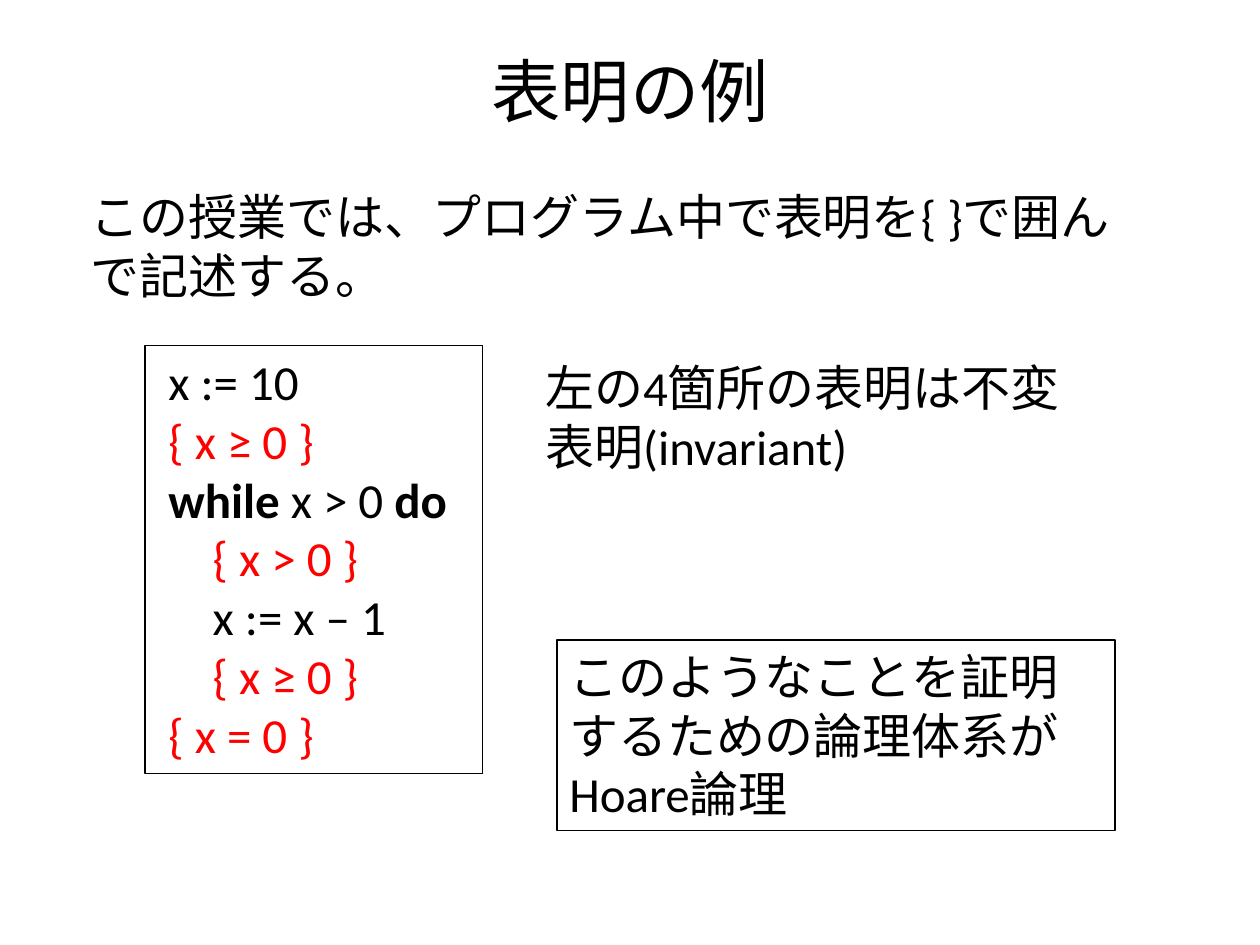
from typing import NamedTuple

from pptx import Presentation
from pptx.dml.color import RGBColor
from pptx.enum.shapes import MSO_SHAPE as Preset
from pptx.enum.text import MSO_ANCHOR as Anchor, PP_ALIGN as Align
from pptx.util import Inches, Pt

WIDTH, HEIGHT = 10, 7.5
BLACK, RED, WHITE = "000000", "FF0000", "FFFFFF"


class Area(NamedTuple):
    """Position and size in percent of the slide's width and height."""
    left: float
    top: float
    width: float
    height: float


class Piece(NamedTuple):
    """A stretch of text in one colour and weight."""
    text: str
    color: str = BLACK
    bold: bool = False


class Note(NamedTuple):
    """A text block, boxed by a thin line or free."""
    area: Area
    lines: list[list[Piece]]
    boxed: bool = False
    fill: str | None = None


NOTES = [
    Note(Area(6.2, 19.07, 83.6, 13.87),
         [[Piece("この授業では、プログラム中で表明を{ }で囲んで記述する。")]]),
    Note(Area(11.5, 36.53, 26.8, 45.33), [
        [Piece(" x := 10")],
        [Piece(" { x ≥ 0 }", RED)],
        [Piece(" while", bold=True), Piece(" x > 0 "), Piece("do", bold=True)],
        [Piece("     { x > 0 }", RED)],
        [Piece("     x := x – 1")],
        [Piece("     { x ≥ 0 }", RED)],
        [Piece(" { x = 0 }", RED)],
    ], boxed=True),
    Note(Area(42.3, 37.2, 44.3, 13.87),
         [[Piece("左の4箇所の表明は不変表明(invariant)")]]),
    Note(Area(44.2, 67.73, 44.3, 20.13),
         [[Piece("このようなことを証明するための論理体系がHoare論理")]],
         boxed=True, fill=WHITE),
]


def rgb(color: str) -> RGBColor:
    """Turn a hex string into a colour."""
    return RGBColor.from_string(color)


def place(area: Area) -> list[int]:
    """Turn shares of the slide into lengths."""
    return [Inches(share * side / 100)
            for share, side in zip(area, (WIDTH, HEIGHT, WIDTH, HEIGHT))]


def add_text(paragraph, text: str, *, size: float = 28, color: str = BLACK,
             bold: bool = False, font: str = "Calibri") -> None:
    """Append one formatted run to a paragraph."""
    run = paragraph.add_run()
    run.text = text
    run.font.name, run.font.size, run.font.bold = font, Pt(size), bold
    run.font.color.rgb = rgb(color)


def add_title(slide, text: str, area: Area) -> None:
    """Move and fill the title placeholder."""
    title = slide.shapes.title
    title.left, title.top, title.width, title.height = place(area)
    frame = title.text_frame
    frame.vertical_anchor = Anchor.MIDDLE
    paragraph = frame.paragraphs[0]
    paragraph.alignment = Align.CENTER
    add_text(paragraph, text, size=39.6)


def add_note(slide, note: Note) -> None:
    """Draw a text block with its optional box."""
    if note.boxed:
        shape = slide.shapes.add_shape(Preset.RECTANGLE, *place(note.area))
        shape.shadow.inherit = False
        shape.line.color.rgb = rgb(BLACK)
        shape.line.width = Pt(0.75)
        if note.fill:
            shape.fill.solid()
            shape.fill.fore_color.rgb = rgb(note.fill)
        else:
            shape.fill.background()
    else:
        shape = slide.shapes.add_textbox(*place(note.area))
    frame = shape.text_frame
    frame.word_wrap = True
    frame.vertical_anchor = Anchor.TOP
    for index, line in enumerate(note.lines):
        paragraph = frame.add_paragraph() if index else frame.paragraphs[0]
        paragraph.alignment = Align.LEFT
        for piece in line:
            add_text(paragraph, piece.text, color=piece.color, bold=piece.bold)


def main() -> None:
    """Build the slide and save it."""
    presentation = Presentation()
    presentation.slide_width, presentation.slide_height = Inches(WIDTH), Inches(HEIGHT)
    slide = presentation.slides.add_slide(presentation.slide_layouts[5])
    add_title(slide, "表明の例", Area(5, 4, 90, 10.93))
    for note in NOTES:
        add_note(slide, note)
    presentation.save("out.pptx")


if __name__ == "__main__":
    main()
